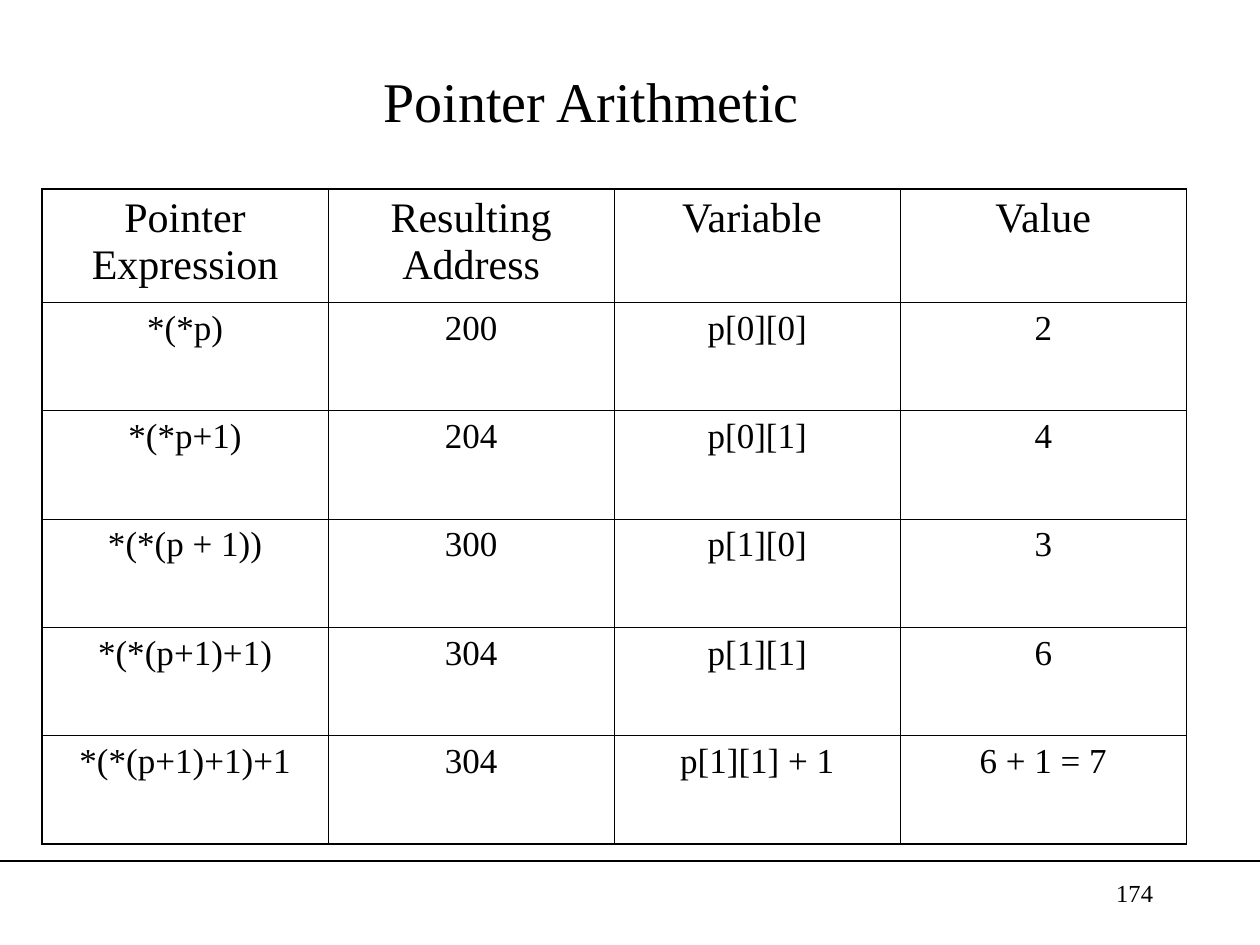
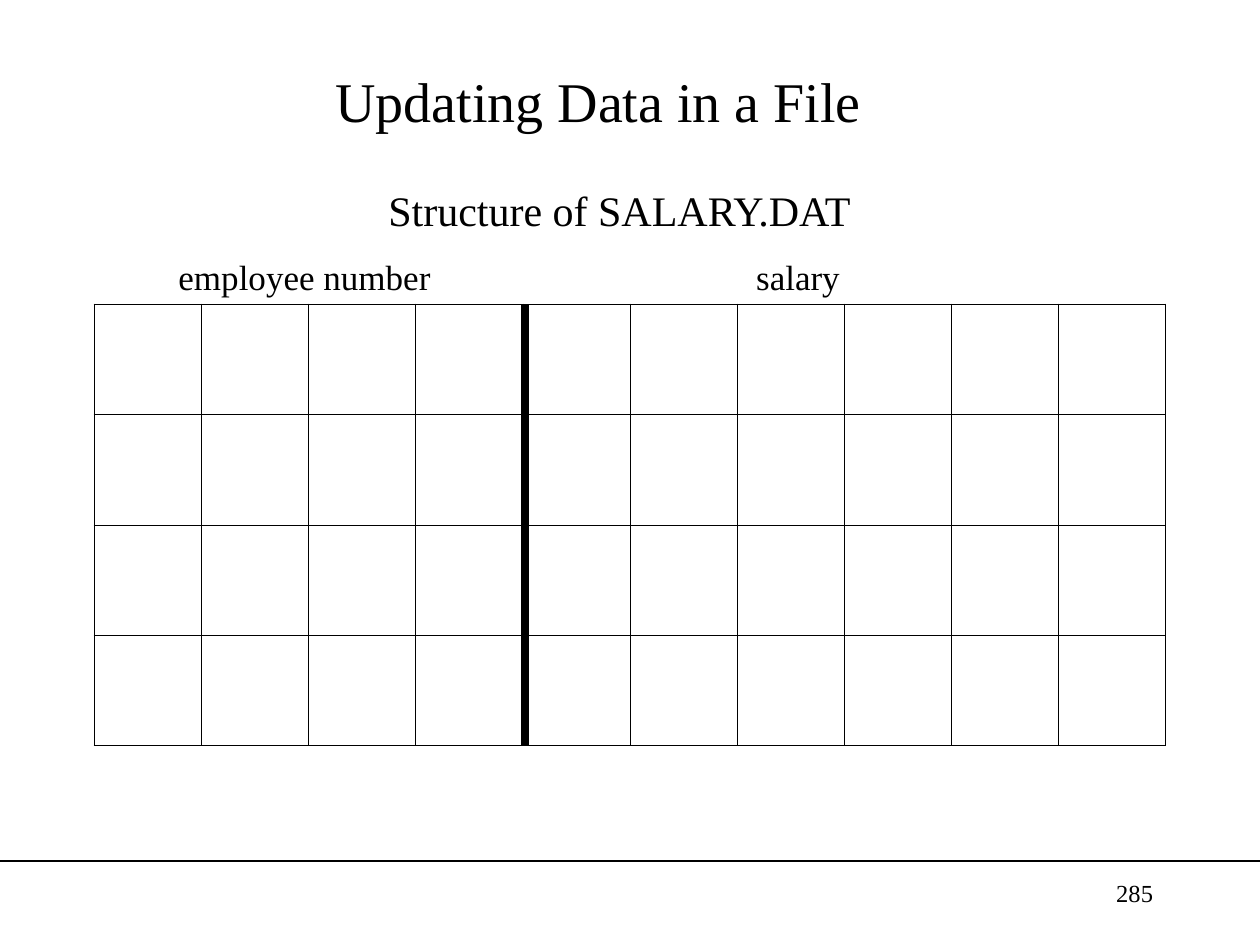
from dataclasses import dataclass

from lxml import etree
from pptx import Presentation
from pptx.dml.color import RGBColor
from pptx.enum.shapes import MSO_CONNECTOR as Connector
from pptx.enum.text import MSO_ANCHOR as Anchor, MSO_AUTO_SIZE as AutoSize, PP_ALIGN as Align
from pptx.oxml.ns import qn
from pptx.util import Inches, Pt


@dataclass(frozen=True)
class Theme:
    font: str = "Times New Roman"
    ink: str = "000000"
    title: int = 32
    heading: int = 24
    body: int = 20
    number: int = 14
    inner_border: float = 0.45
    outer_border: float = 1.08
    footer_rule: float = 0.75
    divider: float = 4.5


THEME = Theme()
COLUMNS, ROWS = 120, 90  # page grid, twelve units to the inch
FOOTER_ROW = 82
TITLE_AREA = (6, 3, 102, 13)
NUMBER_AREA = (86, 83, 25, 6)
POINTER_AREA = (4, 18, 109, 62.4)
POINTER_HEADER = 10.8
RECORD_AREA = (9, 29, 102, 42)
RECORD_DIVIDER = 50

POINTER_ROWS = [
    ("Pointer Expression", "Resulting Address", "Variable ", "Value"),
    ("*(*p)", "200", "p[0][0]", "2"),
    ("*(*p+1)", "204", "p[0][1]", "4"),
    ("*(*(p + 1))", "300", "p[1][0]", "3"),
    ("*(*(p+1)+1)", "304", "p[1][1]", "6"),
    ("*(*(p+1)+1)+1", "304", "p[1][1] + 1", "6 + 1 = 7"),
]


def units(count):
    return Inches(count / 12)


def write(frame, text, size, align=Align.CENTER):
    para = frame.paragraphs[0]
    para.alignment = align
    span = para.add_run()
    span.text = text
    for name, value in {"name": THEME.font, "size": Pt(size)}.items():
        setattr(span.font, name, value)
    span.font.color.rgb = RGBColor.from_string(THEME.ink)


def add_label(page, area, text, size, align=Align.CENTER):
    frame = page.shapes.add_textbox(*map(units, area)).text_frame
    frame.word_wrap = True
    write(frame, text, size, align)


def add_rule(page, start, end, width):
    rule = page.shapes.add_connector(Connector.STRAIGHT, *map(units, start + end))
    rule.line.color.rgb = RGBColor.from_string(THEME.ink)
    rule.line.width = Pt(width)
    etree.SubElement(rule.element.spPr, qn("a:effectLst"))
    return rule


def set_border(cell, side, width):
    line = etree.SubElement(cell._tc.get_or_add_tcPr(), qn(f"a:ln{side}"), w=str(int(Pt(width))))
    fill = etree.SubElement(line, qn("a:solidFill"))
    etree.SubElement(fill, qn("a:srgbClr"), val=THEME.ink)


def add_grid(page, area, row_count, column_count):
    """Add an unfilled table with thin inner lines and a heavier frame."""
    table = page.shapes.add_table(row_count, column_count, *map(units, area)).table
    table.first_row = table.horz_banding = False
    for row in range(row_count):
        for column in range(column_count):
            cell = table.cell(row, column)
            on_frame = {
                "L": column == 0,
                "R": column == column_count - 1,
                "T": row == 0,
                "B": row == row_count - 1,
            }
            for side, outer in on_frame.items():
                set_border(cell, side, THEME.outer_border if outer else THEME.inner_border)
            cell.fill.background()
    return table


def add_page(deck, title, number):
    page = deck.slides.add_slide(deck.slide_layouts[5])
    box = page.shapes.title
    box.left, box.top, box.width, box.height = map(units, TITLE_AREA)
    frame = box.text_frame
    for name, value in {
        "auto_size": AutoSize.NONE,
        "word_wrap": True,
        "vertical_anchor": Anchor.MIDDLE,
    }.items():
        setattr(frame, name, value)
    write(frame, title, THEME.title)
    add_label(page, NUMBER_AREA, str(number), THEME.number, Align.RIGHT)
    return page


def share_footer_rule(page):
    """Draw the footer rule and move it to the layout, so every page shows it."""
    rule = add_rule(page, (0, FOOTER_ROW), (COLUMNS, FOOTER_ROW), THEME.footer_rule)
    page.slide_layout.shapes.element.append(rule.element)


def fill_pointer_table(page):
    table = add_grid(page, POINTER_AREA, len(POINTER_ROWS), len(POINTER_ROWS[0]))
    body_height = (POINTER_AREA[3] - POINTER_HEADER) / (len(POINTER_ROWS) - 1)
    for row, texts in enumerate(POINTER_ROWS):
        table.rows[row].height = units(body_height if row else POINTER_HEADER)
        for column, text in enumerate(texts):
            size = THEME.body if row else THEME.heading
            write(table.cell(row, column).text_frame, text, size)


def draw_salary_file(page):
    left, top, width, height = RECORD_AREA
    add_grid(page, RECORD_AREA, 4, 10)
    add_rule(page, (RECORD_DIVIDER, top), (RECORD_DIVIDER, top + height), THEME.divider)
    label_height = 5.25
    for start, name in ((left, "employee number"), (RECORD_DIVIDER + 6, "salary")):
        add_label(page, (start, top - label_height, 40, label_height), name, THEME.body)
    add_label(page, (14, 17, 90, 6), "Structure of SALARY.DAT", THEME.heading)


def main():
    deck = Presentation()
    deck.slide_width, deck.slide_height = units(COLUMNS), units(ROWS)
    pointers = add_page(deck, "Pointer Arithmetic ", 174)
    share_footer_rule(pointers)
    fill_pointer_table(pointers)
    draw_salary_file(add_page(deck, "Updating Data in a File", 285))
    deck.save("out.pptx")


if __name__ == "__main__":
    main()
